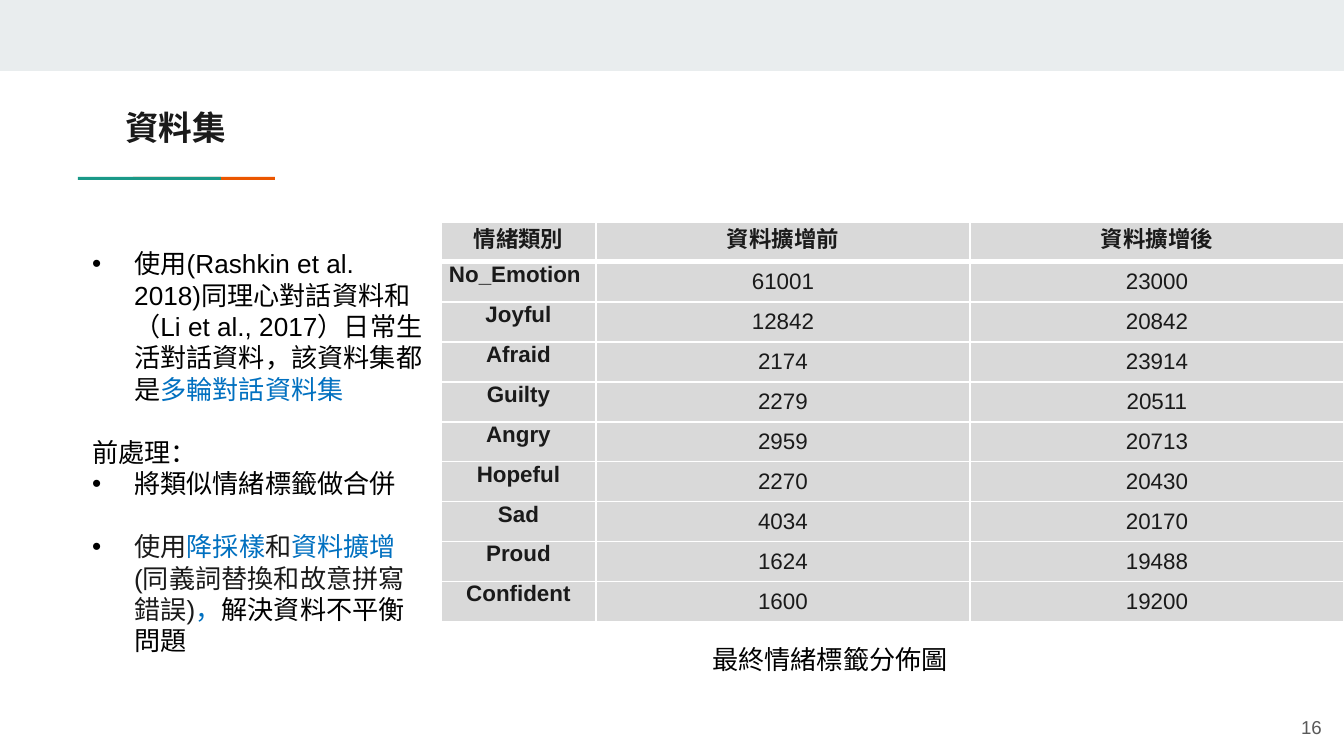
from lxml import etree
from pptx import Presentation
from pptx.dml.color import RGBColor
from pptx.enum.shapes import MSO_SHAPE
from pptx.enum.text import MSO_ANCHOR, PP_ALIGN
from pptx.oxml.ns import qn
from pptx.util import Emu, Pt

RECTANGLE = MSO_SHAPE.RECTANGLE
TOP, MIDDLE = MSO_ANCHOR.TOP, MSO_ANCHOR.MIDDLE
LEFT, CENTER, RIGHT = PP_ALIGN.LEFT, PP_ALIGN.CENTER, PP_ALIGN.RIGHT

WHITE = RGBColor(0xFF, 0xFF, 0xFF)
BLACK = RGBColor(0x00, 0x00, 0x00)
INK = RGBColor(0x1A, 0x1A, 0x1A)
GREY = RGBColor(0x59, 0x59, 0x59)
BLUE = RGBColor(0x00, 0x70, 0xC0)
GREEN = RGBColor(0x1A, 0x99, 0x88)
ORANGE = RGBColor(0xEB, 0x56, 0x00)
BAND = RGBColor(0xE9, 0xED, 0xEE)
CELL = RGBColor(0xD9, 0xD9, 0xD9)

EMU_PER_PX = 914400 / 134.4
SLIDE_SIZE = (1344, 756)
HANGING_INDENT = 42
PARAGRAPH_GAP = 17

NOTES = [
    (True, 0, [("使用(Rashkin et al. 2018)同理心對話資料和（Li et al., 2017）日常生活對話資料，該資料集都是", BLACK),
               ("多輪對話資料集", BLUE)]),
    (False, PARAGRAPH_GAP, [("前處理：", BLACK)]),
    (True, 0, [("將類似情緒標籤做合併", BLACK)]),
    (True, PARAGRAPH_GAP, [("使用", INK), ("降採樣", BLUE), ("和", INK), ("資料擴增", BLUE),
                           ("(同義詞替換和故意拼寫錯誤)", INK), ("，", BLUE),
                           ("解決資料不平衡問題", BLACK)]),
]

HEADERS = ("情緒類別", "資料擴增前", "資料擴增後")
EMOTION_COUNTS = [
    ("No_Emotion", 61001, 23000),
    ("Joyful", 12842, 20842),
    ("Afraid", 2174, 23914),
    ("Guilty", 2279, 20511),
    ("Angry", 2959, 20713),
    ("Hopeful", 2270, 20430),
    ("Sad", 4034, 20170),
    ("Proud", 1624, 19488),
    ("Confident", 1600, 19200),
]


def px(length):
    return Emu(round(length * EMU_PER_PX))


def set_all(target, values):
    for name, value in values.items():
        setattr(target, name, value)


class SlideBuilder:
    font_name = "Arial"

    def __init__(self, slide):
        self.slide = slide

    def add_run(self, paragraph, text, size, color, bold=False):
        run = paragraph.add_run()
        run.text = text
        set_all(run.font, {"name": self.font_name, "size": Pt(size), "bold": bold})
        run.font.color.rgb = color

    def title(self, text, left, top, width, height):
        title = self.slide.shapes.title
        set_all(title, {"left": px(left), "top": px(top),
                        "width": px(width), "height": px(height)})
        frame = title.text_frame
        set_all(frame, {"margin_left": px(13), "margin_right": px(13), "margin_top": px(13),
                        "margin_bottom": px(13), "vertical_anchor": TOP, "word_wrap": True})
        frame.paragraphs[0].alignment = LEFT
        self.add_run(frame.paragraphs[0], text, 18, INK, bold=True)

    def bar(self, left, top, width, height, color):
        bar = self.slide.shapes.add_shape(RECTANGLE, px(left), px(top), px(width), px(height))
        bar.shadow.inherit = False
        bar.fill.solid()
        bar.fill.fore_color.rgb = color
        bar.line.fill.background()

    def text_frame(self, left, top, width, height, anchor=TOP):
        box = self.slide.shapes.add_textbox(px(left), px(top), px(width), px(height))
        set_all(box.text_frame, {"word_wrap": True, "vertical_anchor": anchor})
        return box.text_frame

    def label(self, text, left, top, width, height, size, color, align=LEFT, anchor=TOP):
        paragraph = self.text_frame(left, top, width, height, anchor).paragraphs[0]
        paragraph.alignment = align
        self.add_run(paragraph, text, size, color)

    def bullet(self, paragraph):
        properties = paragraph._p.get_or_add_pPr()
        properties.set("marL", str(px(HANGING_INDENT)))
        properties.set("indent", str(-px(HANGING_INDENT)))
        bullet_color = etree.SubElement(properties, qn("a:buClr"))
        etree.SubElement(bullet_color, qn("a:srgbClr"), val=str(BLACK))
        etree.SubElement(properties, qn("a:buFont"), typeface=self.font_name)
        etree.SubElement(properties, qn("a:buChar"), char="•")

    def notes(self, notes, left, top, width, height):
        frame = self.text_frame(left, top, width, height)
        for index, (bulleted, gap, parts) in enumerate(notes):
            paragraph = frame.add_paragraph() if index else frame.paragraphs[0]
            if bulleted:
                self.bullet(paragraph)
            if gap:
                paragraph.space_before = Pt(gap)
            for text, color in parts:
                self.add_run(paragraph, text, 14, color)

    def borders(self, cell, widths):
        """Draw white edges; widths maps each edge tag, in schema order, to points."""
        properties = cell._tc.get_or_add_tcPr()
        for edge, width in widths.items():
            line = etree.SubElement(properties, qn(f"a:{edge}"), w=str(Pt(width)))
            fill = etree.SubElement(line, qn("a:solidFill"))
            etree.SubElement(fill, qn("a:srgbClr"), val=str(WHITE))

    def table(self, rows, left, top, column_widths, row_height):
        table = self.slide.shapes.add_table(
            len(rows), len(column_widths), px(left), px(top),
            px(sum(column_widths)), px(row_height * len(rows))).table
        for column, width in zip(table.columns, column_widths):
            column.width = px(width)
        for row_index, values in enumerate(rows):
            table.rows[row_index].height = px(row_height)
            for column_index, value in enumerate(values):
                is_heading = row_index == 0 or column_index == 0
                cell = table.cell(row_index, column_index)
                set_all(cell, {"margin_left": px(8), "margin_right": px(8), "margin_top": 0,
                               "margin_bottom": 0,
                               "vertical_anchor": TOP if is_heading else MIDDLE})
                self.borders(cell, {"lnL": 1, "lnR": 1, "lnT": 3 if row_index == 1 else 1,
                                    "lnB": 3 if row_index == 0 else 1})
                cell.fill.solid()
                cell.fill.fore_color.rgb = CELL
                paragraph = cell.text_frame.paragraphs[0]
                paragraph.alignment = LEFT if value == "No_Emotion" else CENTER
                self.add_run(paragraph, str(value), 12, INK, bold=is_heading)


def main():
    presentation = Presentation()
    presentation.slide_width, presentation.slide_height = map(px, SLIDE_SIZE)
    title_only = presentation.slide_layouts[5]
    builder = SlideBuilder(presentation.slides.add_slide(title_only))

    builder.bar(0, 0, 1344, 71, BAND)
    builder.bar(133, 177, 142, 3, ORANGE)
    builder.bar(78, 177, 143, 3, GREEN)
    builder.title("資料集", 112, 94, 271, 79)
    builder.notes(NOTES, 79, 241, 362, 425)
    builder.table([HEADERS, *EMOTION_COUNTS], 441, 222, (155, 374, 374), 40)
    builder.label("最終情緒標籤分佈圖", 699, 637, 352, 46, 14, BLACK)
    builder.label("16", 1255, 698, 80, 58, 10, GREY, RIGHT, MIDDLE)

    presentation.save("out.pptx")


if __name__ == "__main__":
    main()
